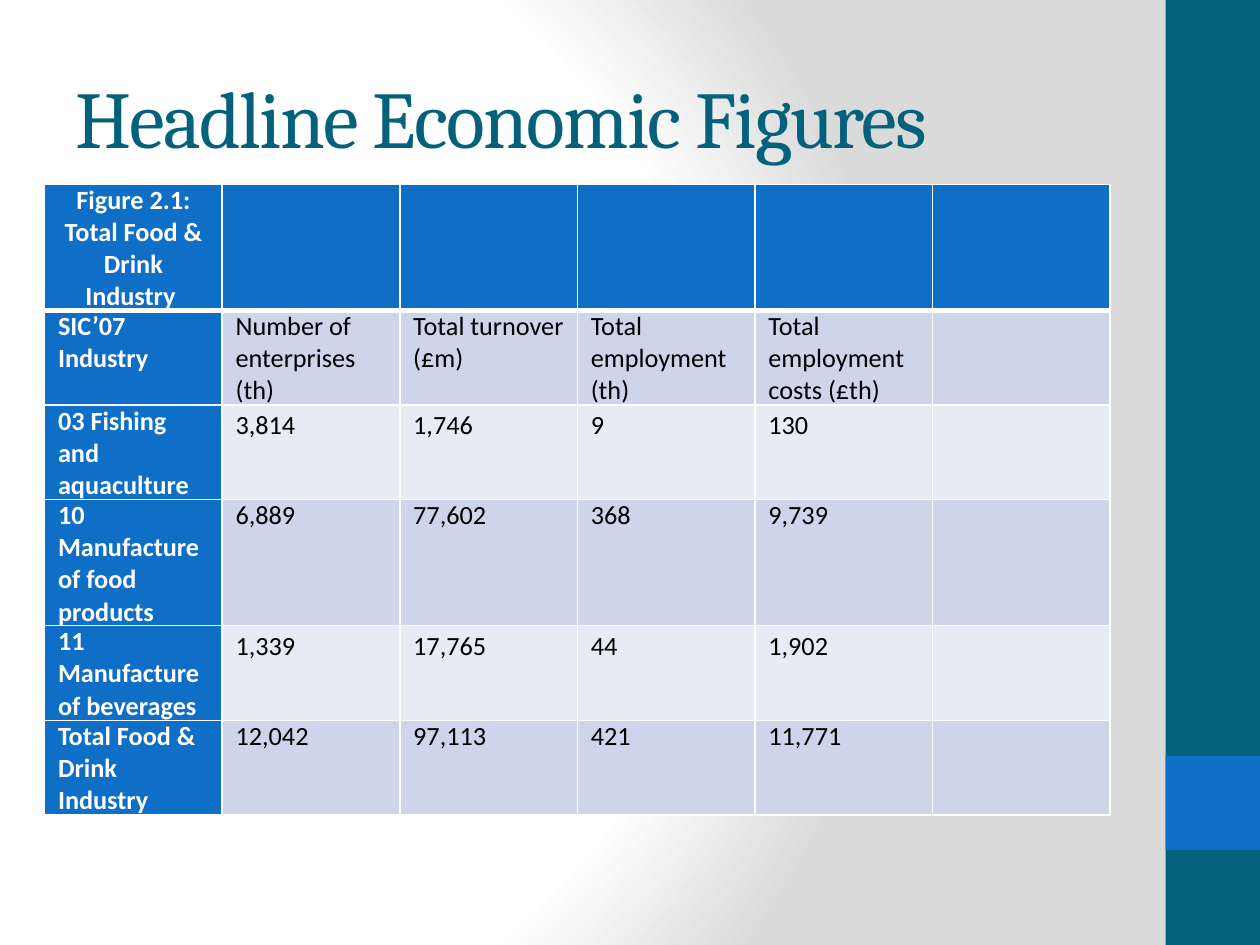
from dataclasses import dataclass

import pptx
import pptx.dml.color
import pptx.enum.shapes
import pptx.enum.text
import pptx.oxml
import pptx.oxml.ns
import pptx.util
from pptx.util import Cm, Pt

COLORS = {
    "teal": "04617B",
    "blue": "0F6FC6",
    "band_dark": "CCD5EA",
    "band_light": "E7EBF5",
    "white": "FFFFFF",
    "grey": "DADADA",
    "black": "000000",
}


@dataclass(frozen=True)
class SidePanel:
    top: float
    height: float
    color: str


@dataclass(frozen=True)
class TableRow:
    texts: tuple[str, ...]
    height: float
    fill: str
    line_spacing: float = 1.0


SIDE_PANELS = (SidePanel(0, 19.05, "teal"), SidePanel(15.24, 1.9, "blue"))
COLUMN_COUNT = 6
COLUMN_WIDTH = 3.58
TALL, SHORT = 2.48, 1.86
FIGURE_ROWS = (
    TableRow(("Figure 2.1: Total Food & Drink Industry ",), TALL, "blue"),
    TableRow(
        (
            "SIC’07 Industry",
            "Number of enterprises (th)",
            "Total turnover (£m)",
            "Total employment (th)",
            "Total employment costs (£th)",
        ),
        SHORT,
        "band_dark",
    ),
    TableRow(("03 Fishing and aquaculture", "3,814", "1,746", "9", "130"), SHORT, "band_light", 1.15),
    TableRow(("10 Manufacture of food products", "6,889", "77,602", "368", "9,739"), TALL, "band_dark"),
    TableRow(("11 Manufacture of beverages", "1,339", "17,765", "44", "1,902"), SHORT, "band_light", 1.15),
    TableRow(("Total Food & Drink Industry", "12,042", "97,113", "421", "11,771"), SHORT, "band_dark"),
)


def rgb(name: str) -> pptx.dml.color.RGBColor:
    return pptx.dml.color.RGBColor.from_string(COLORS[name])


def set_background(slide) -> None:
    """Fill the background with a radial gradient, which needs XML."""
    fill = slide.background.fill
    fill.solid()
    stops = "".join(
        f'<a:gs pos="{percent * 1000}"><a:srgbClr val="{COLORS[color]}"/></a:gs>'
        for percent, color in ((0, "white"), (75, "white"), (100, "grey"))
    )
    gradient = pptx.oxml.parse_xml(
        f'<a:gradFill {pptx.oxml.ns.nsdecls("a")} rotWithShape="1"><a:gsLst>{stops}</a:gsLst>'
        '<a:path path="circle"><a:fillToRect l="20000" t="50000" r="100000" b="50000"/>'
        "</a:path></a:gradFill>"
    )
    solid = slide.element.find(".//" + pptx.oxml.ns.qn("p:bgPr"))[0]
    solid.getparent().replace(solid, gradient)


def add_side_panel(slide, panel: SidePanel) -> None:
    rectangle = slide.shapes.add_shape(
        pptx.enum.shapes.MSO_SHAPE.RECTANGLE, Cm(23.5), Cm(panel.top), Cm(1.9), Cm(panel.height)
    )
    rectangle.shadow.inherit = False
    rectangle.fill.solid()
    rectangle.fill.fore_color.rgb = rgb(panel.color)
    rectangle.line.fill.background()


def add_title(slide) -> None:
    title = slide.shapes.add_textbox(Cm(1.27), Cm(0.76), Cm(21.16), Cm(3.18))
    frame = title.text_frame
    frame.word_wrap = True
    frame.vertical_anchor = pptx.enum.text.MSO_ANCHOR.MIDDLE
    frame.text = "Headline Economic Figures"
    run = frame.paragraphs[0].runs[0]
    run.font.name = "Cambria"
    run.font.size = Pt(46)
    run.font.color.rgb = rgb("teal")
    run.font._element.set("spc", "-100")


def set_borders(cell, top: float, bottom: float) -> None:
    """Draw white borders; top and bottom are widths in points."""
    properties = cell._tc.get_or_add_tcPr()
    for side, width in (("L", 1), ("R", 1), ("T", top), ("B", bottom)):
        properties.append(
            pptx.oxml.parse_xml(
                f'<a:ln{side} {pptx.oxml.ns.nsdecls("a")} w="{Pt(width)}"><a:solidFill>'
                f'<a:srgbClr val="{COLORS["white"]}"/></a:solidFill></a:ln{side}>'
            )
        )


def write_cell(cell, text: str, is_heading: bool, line_spacing: float) -> None:
    cell.margin_left = cell.margin_right = Cm(0.27)
    cell.margin_top = cell.margin_bottom = 0
    cell.text_frame.text = text
    paragraph = cell.text_frame.paragraphs[0]
    if not is_heading:
        paragraph.line_spacing = line_spacing
    font = paragraph.runs[0].font
    font.name = "Calibri"
    font.size = Pt(15)
    font.bold = is_heading
    font.color.rgb = rgb("white" if is_heading else "black")


def add_figures_table(slide) -> None:
    table = slide.shapes.add_table(
        len(FIGURE_ROWS),
        COLUMN_COUNT,
        Cm(0.9),
        Cm(3.72),
        Cm(COLUMN_WIDTH * COLUMN_COUNT),
        Cm(sum(row.height for row in FIGURE_ROWS)),
    ).table
    table.first_col = True
    for column in table.columns:
        column.width = Cm(COLUMN_WIDTH)
    for row_index, row in enumerate(FIGURE_ROWS):
        table.rows[row_index].height = Cm(row.height)
        for column_index in range(COLUMN_COUNT):
            cell = table.cell(row_index, column_index)
            is_heading = row_index == 0 or column_index == 0
            set_borders(cell, 3 if row_index == 1 else 1, 3 if row_index == 0 else 1)
            cell.fill.solid()
            cell.fill.fore_color.rgb = rgb("blue" if is_heading else row.fill)
            if column_index < len(row.texts):
                write_cell(cell, row.texts[column_index], is_heading, row.line_spacing)
    table.cell(0, 0).text_frame.paragraphs[0].alignment = pptx.enum.text.PP_ALIGN.CENTER


def main() -> None:
    presentation = pptx.Presentation()
    presentation.slide_width = Cm(25.4)
    presentation.slide_height = Cm(19.05)
    slide = presentation.slides.add_slide(presentation.slide_layouts[6])
    set_background(slide)
    for panel in SIDE_PANELS:
        add_side_panel(slide, panel)
    add_title(slide)
    add_figures_table(slide)
    presentation.save("out.pptx")


if __name__ == "__main__":
    main()
